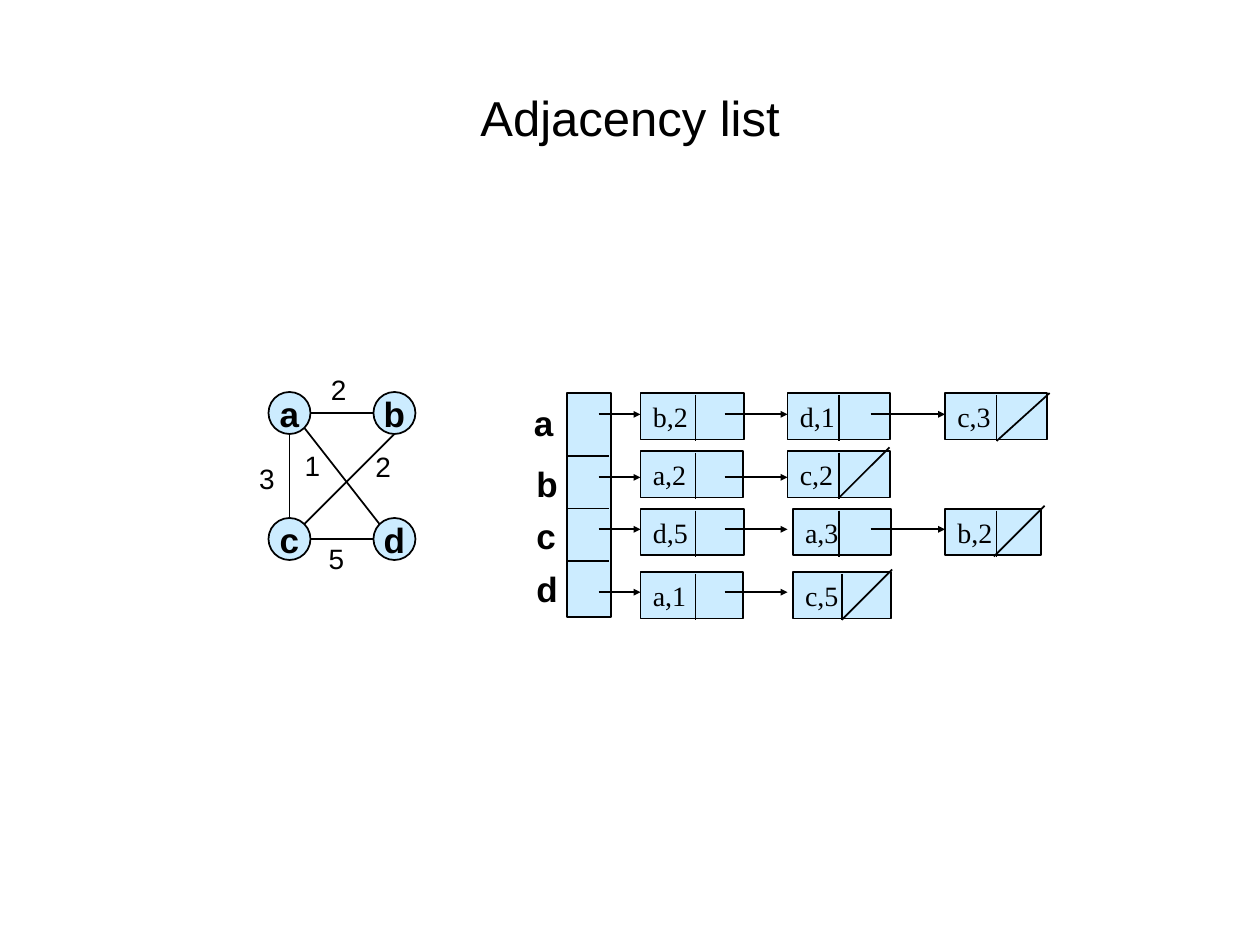
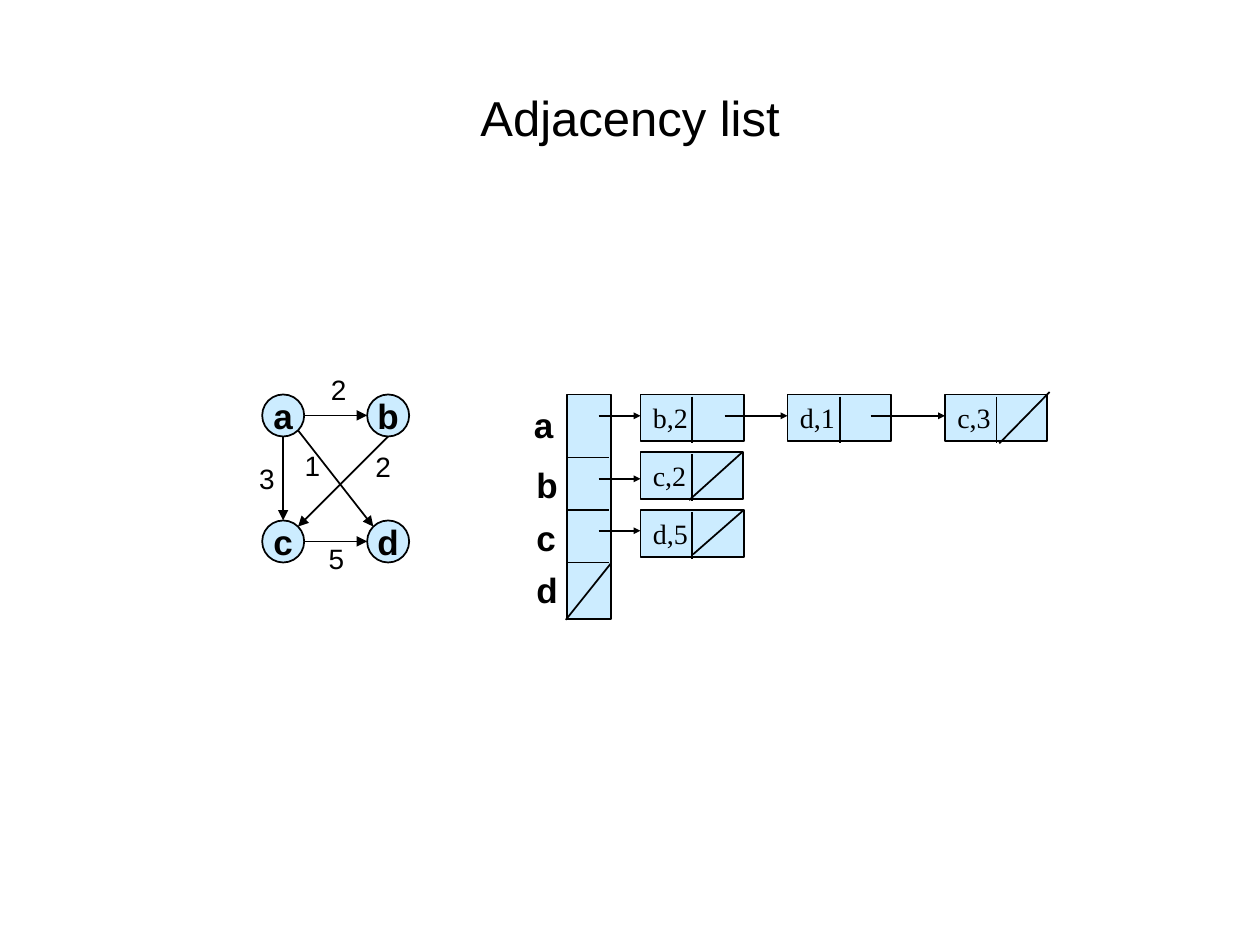
from math import sqrt

from lxml.etree import SubElement
from pptx import Presentation
from pptx.dml.color import RGBColor
from pptx.enum.shapes import MSO_CONNECTOR as Connector, MSO_SHAPE as Shape
from pptx.enum.text import MSO_ANCHOR as Anchor, PP_ALIGN as Align
from pptx.oxml.ns import qn
from pptx.util import Pt

# Content: weights and edges are the same graph on both slides
TITLE = "Adjacency list"
VERTICES = {"a": (0, 0), "b": (1, 0), "c": (0, 1), "d": (1, 1)}
EDGES = [  # from, side, to, side
    ("a", "E", "b", "W"),
    ("b", "S", "c", "NE"),
    ("a", "S", "c", "N"),
    ("a", "SE", "d", "NW"),
    ("c", "E", "d", "W"),
]
WEIGHTS = [("2", 182, 209.5), ("3", 141, 260), ("1", 167, 252.7),
           ("2", 207.4, 253.4), ("5", 180.7, 306)]

# Each list: nodes as (text, left, width, divider), then the null slash
# as (right, top, left, bottom)
SLIDES = [
    dict(
        directed=False, graph=(153.4, 224), top=224.6, divider_drop=1,
        lists={
            "a": ([("b,2", 366, 59, 397.5), ("d,1", 450, 58.5, 479.5),
                   ("c,3", 540, 58.5, 569.5)], (599.8, 224.6, 569.5, 252)),
            "b": ([("a,2", 366, 58.5, 397.5), ("c,2", 450, 58.5, 479.5)],
                  (508.3, 255.6, 479.5, 284.4)),
            "c": ([("d,5", 366, 59, 397.5), ("a,3", 453, 56, 479.5),
                   ("b,2", 540, 54.7, 569.5)], (596.9, 289, 568, 318)),
            "d": ([("a,1", 366, 58.5, 397.5), ("c,5", 453, 56, 481)],
                  (509.8, 325.4, 481, 354.2)),
        },
    ),
    dict(
        directed=True, graph=(149.8, 225.4), top=225.4, divider_drop=1.2,
        lists={
            "a": ([("b,2", 366, 59, 395.3), ("d,1", 450, 59, 480.2),
                   ("c,3", 540, 58.5, 569.5)], (599.8, 224, 571, 253.4)),
            "b": ([("c,2", 366, 58.5, 395.3)], (424.1, 258.5, 393.8, 285.8)),
            "c": ([("d,5", 366, 59, 395.3)], (424.8, 291.6, 396, 316.8)),
            "d": ([], (349.2, 321.8, 323.3, 354.2)),
        },
    ),
]

# Shared look and measures
INK, PALE, SANS, SERIF = "000000", "CCECFF", "Arial", "Times New Roman"
DIAMETER, STEP_X, STEP_Y = 24, 60, 72
COLUMN_LEFT, COLUMN_WIDTH, COLUMN_HEIGHT, RULE_WIDTH = 324, 25.2, 128.2, 23.8
CELL_TOPS = (0, 36, 66, 96)
BOX_TOPS = (0, 33.1, 66.2, 102.3)
ARROW_DROPS = (12.2, 48.2, 77.9, 113.8)
ARROW_SPANS = [(342, 366), (414, 450), (497.5, 540)]
BOX_HEIGHT, DIVIDER_HEIGHT = 26.6, 26.4
DIAGONAL = 1 / sqrt(2)
SIDES = {"N": (0, -1), "E": (1, 0), "S": (0, 1), "W": (-1, 0),
         "NE": (DIAGONAL, -DIAGONAL), "SE": (DIAGONAL, DIAGONAL),
         "NW": (-DIAGONAL, -DIAGONAL)}


def color(value):
    return RGBColor.from_string(value)


def write(holder, text, size=16, font=SANS, bold=False, align=Align.LEFT,
          anchor=Anchor.TOP, wrap=False):
    frame = holder.text_frame
    frame.word_wrap = wrap
    frame.vertical_anchor = anchor
    para = frame.paragraphs[0]
    para.alignment = align
    span = para.add_run()
    span.text = text
    span.font.size, span.font.name, span.font.bold = Pt(size), font, bold
    span.font.color.rgb = color(INK)


def place(page, kind, left, top, width, height):
    shape = page.shapes.add_shape(kind, Pt(left), Pt(top), Pt(width), Pt(height))
    shape.shadow.inherit = False
    shape.fill.solid()
    shape.fill.fore_color.rgb = color(PALE)
    shape.line.color.rgb = color(INK)
    shape.line.width = Pt(1)
    return shape


def label(page, text, left, top, width, height, **style):
    box = page.shapes.add_textbox(Pt(left), Pt(top), Pt(width), Pt(height))
    write(box, text, **style)


def draw_line(page, x1, y1, x2, y2, head=None):
    line = page.shapes.add_connector(
        Connector.STRAIGHT, Pt(x1), Pt(y1), Pt(x2), Pt(y2))
    line.line.color.rgb = color(INK)
    line.line.width = Pt(1)
    if head:
        SubElement(line.line._get_or_add_ln(), qn("a:tailEnd"),
                   type="triangle", w=head, len=head)
    SubElement(line._element.spPr, qn("a:effectLst"))


def draw_graph(page, left, top, directed):
    radius = DIAMETER / 2
    centers = {}
    for name, (column, row) in VERTICES.items():
        x, y = left + column * STEP_X, top + row * STEP_Y
        centers[name] = (x + radius, y + radius)
        circle = place(page, Shape.OVAL, x, y, DIAMETER, DIAMETER)
        write(circle, name, size=20, bold=True, align=Align.CENTER,
              anchor=Anchor.MIDDLE)

    def rim(name, side):
        return [middle + radius * part
                for middle, part in zip(centers[name], SIDES[side])]

    for start, start_side, end, end_side in EDGES:
        draw_line(page, *rim(start, start_side), *rim(end, end_side),
                  head="med" if directed else None)
    for text, x, y in WEIGHTS:
        label(page, text, x, y, 24, 26.6)


def draw_lists(page, top, lists, divider_drop):
    # Column of list heads
    place(page, Shape.RECTANGLE, COLUMN_LEFT, top, COLUMN_WIDTH, COLUMN_HEIGHT)
    for name, cell in zip(lists, CELL_TOPS):
        first = cell == 0
        label(page, name, 298 if first else 299.5, top + (1.4 if first else cell),
              25, 31, size=20, bold=True)
        if not first:
            draw_line(page, COLUMN_LEFT, top + cell,
                      COLUMN_LEFT + RULE_WIDTH, top + cell)

    # Linked nodes, each reached by an arrow
    rows = zip(lists.values(), BOX_TOPS, ARROW_DROPS)
    for (nodes, slash), box_top, arrow_drop in rows:
        y = top + box_top
        for text, left, width, divider in nodes:
            box = place(page, Shape.RECTANGLE, left, y, width, BOX_HEIGHT)
            write(box, text, font=SERIF, wrap=True)
            draw_line(page, divider, y + divider_drop,
                      divider, y + divider_drop + DIVIDER_HEIGHT)
        for _, (start, end) in zip(nodes, ARROW_SPANS):
            draw_line(page, start, top + arrow_drop, end, top + arrow_drop,
                      head="sm")
        draw_line(page, *slash)


def main():
    deck = Presentation()
    deck.slide_width, deck.slide_height = Pt(720), Pt(540)
    for content in SLIDES:
        page = deck.slides.add_slide(deck.slide_layouts[5])
        title = page.shapes.title
        title.left, title.top, title.width, title.height = map(
            Pt, (36, 21.6, 648, 90))
        write(title, TITLE, size=28, align=Align.CENTER, anchor=Anchor.MIDDLE,
              wrap=True)
        draw_graph(page, *content["graph"], content["directed"])
        draw_lists(page, content["top"], content["lists"],
                   content["divider_drop"])
    deck.save("out.pptx")


if __name__ == "__main__":
    main()
